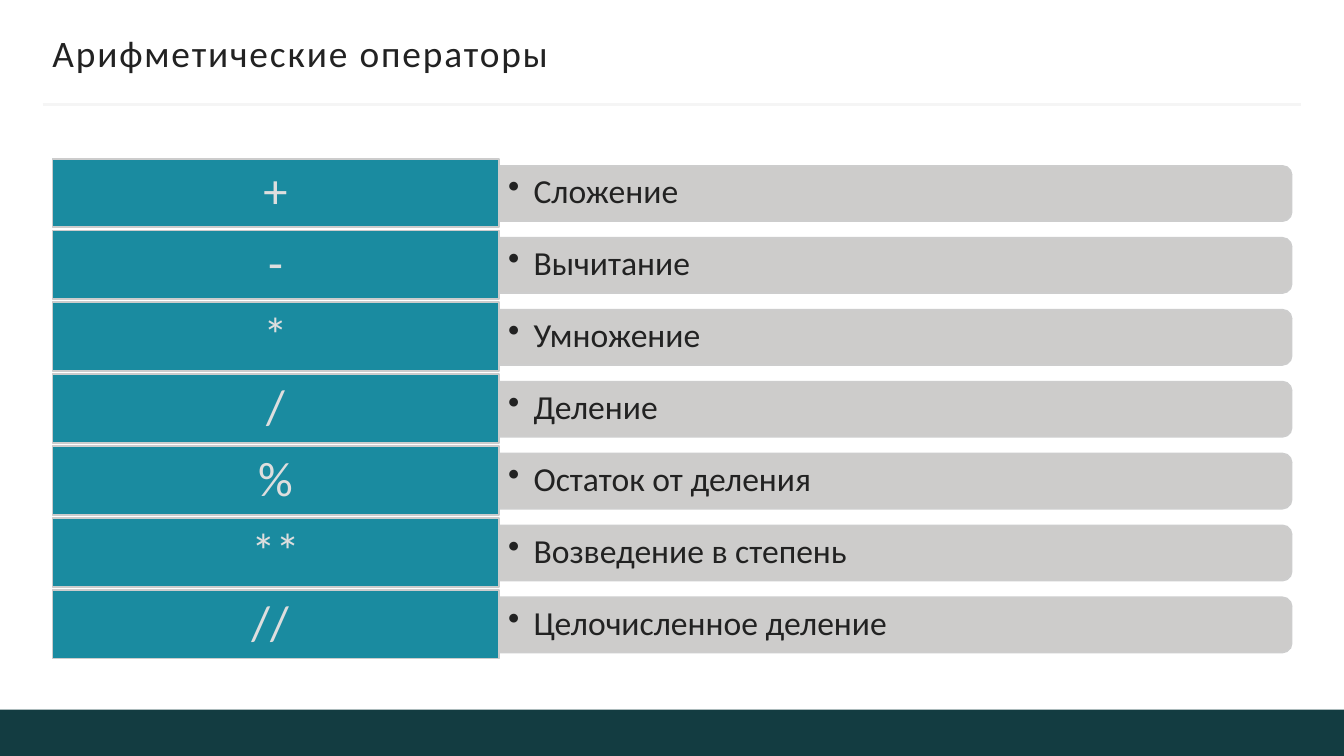
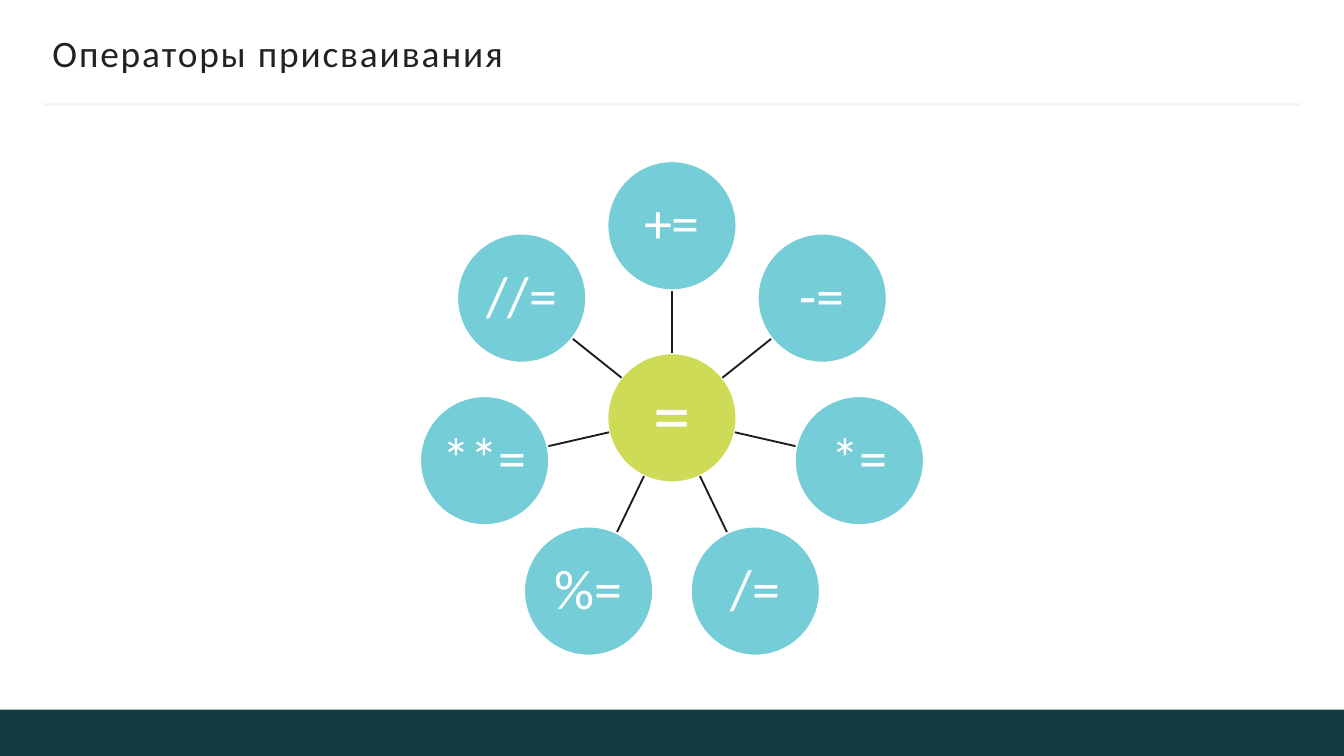
from math import cos, pi, sin

from lxml.etree import SubElement
from pptx import Presentation
from pptx.dml.color import RGBColor
from pptx.enum.shapes import MSO_CONNECTOR, MSO_SHAPE
from pptx.enum.text import MSO_ANCHOR, PP_ALIGN
from pptx.oxml.ns import qn
from pptx.util import Inches, Pt

WHITE = RGBColor(0xFF, 0xFF, 0xFF)
INK = RGBColor(0x22, 0x22, 0x22)
BAND = RGBColor(0x13, 0x3C, 0x41)
RULE = RGBColor(0xF5, 0xF5, 0xF5)
TEAL = RGBColor(0x1A, 0x8B, 0xA0)
TEAL_EDGE = RGBColor(0xCC, 0xCC, 0xCC)
TEAL_TEXT = RGBColor(0xDE, 0xDE, 0xDE)
GREY = RGBColor(0xCD, 0xCC, 0xCB)
GREY_EDGE = RGBColor(0xCD, 0xCD, 0xCD)
LIME = RGBColor(0xCE, 0xDB, 0x56)
SKY = RGBColor(0x75, 0xCD, 0xD8)
SPOKE = RGBColor(0x1B, 0x1B, 0x1B)

FONT = "Calibri"
BAND_TOP = 5.28

ARITHMETIC = [
    ("+", "Сложение"),
    ("-", "Вычитание"),
    ("*", "Умножение"),
    ("/", "Деление"),
    ("%", "Остаток от деления"),
    ("**", "Возведение в степень"),
    ("// ", "Целочисленное деление"),
]
ASSIGNMENT = ["+=", "-=", "*=", "/=", "%=", "**=", "//="]


class Deck:
    """Holds the shared style and the slide being drawn."""

    def __init__(self):
        self.presentation = Presentation()
        self.presentation.slide_width = Inches(10)
        self.presentation.slide_height = Inches(10) * 9 // 16
        self.slide = None

    def new_slide(self, title):
        self.slide = self.presentation.slides.add_slide(self.presentation.slide_layouts[6])
        band_height = self.presentation.slide_height / Inches(1) - BAND_TOP
        self.shape(MSO_SHAPE.RECTANGLE, 0, BAND_TOP, 10, band_height, BAND)
        self.line(0.32, 0.78, 9.68, 0.78, RULE, 1.5)
        paragraph = self.text_box(0.39, 0.25, 9.22, 0.33, title, 20, insets=(0, 0.05))
        paragraph.runs[0]._r.get_or_add_rPr().set("spc", "100")

    def shape(self, kind, left, top, width, height, fill, edge=None):
        shape = self.slide.shapes.add_shape(
            kind, Inches(left), Inches(top), Inches(width), Inches(height))
        shape.shadow.inherit = False
        shape.fill.solid()
        shape.fill.fore_color.rgb = fill
        if edge is None:
            shape.line.fill.background()
        else:
            shape.line.color.rgb = edge
            shape.line.width = Pt(1)
        return shape

    def line(self, x1, y1, x2, y2, color, width):
        connector = self.slide.shapes.add_connector(
            MSO_CONNECTOR.STRAIGHT, Inches(x1), Inches(y1), Inches(x2), Inches(y2))
        connector.line.color.rgb = color
        connector.line.width = Pt(width)
        SubElement(connector._element.spPr, qn("a:effectLst"))

    def label(self, shape, text, size, color, insets, align=PP_ALIGN.LEFT, bullet=False):
        frame = shape.text_frame
        frame.word_wrap = True
        frame.vertical_anchor = MSO_ANCHOR.MIDDLE
        frame.margin_left = frame.margin_right = Inches(insets[0])
        frame.margin_top = frame.margin_bottom = Inches(insets[1])
        frame.text = text
        paragraph = frame.paragraphs[0]
        paragraph.alignment = align
        paragraph.line_spacing = 0.9
        if bullet:
            properties = paragraph._p.get_or_add_pPr()
            properties.set("marL", str(Inches(0.19)))
            properties.set("indent", str(-Inches(0.19)))
            SubElement(properties, qn("a:buChar")).set("char", "•")
        font = paragraph.runs[0].font
        font.name = FONT
        font.size = Pt(size)
        font.color.rgb = color
        return paragraph

    def text_box(self, left, top, width, height, text, size, insets, bullet=False):
        box = self.slide.shapes.add_textbox(
            Inches(left), Inches(top), Inches(width), Inches(height))
        return self.label(box, text, size, INK, insets, bullet=bullet)

    def operator_row(self, center_y, operator, meaning):
        bar_left, bar_width, bar_height = 3.71, 5.9, 0.41
        # The bar stands upright and is turned so its round corners face right
        bar = self.shape(
            MSO_SHAPE.ROUND_2_SAME_RECTANGLE,
            bar_left + (bar_width - bar_height) / 2, center_y - bar_width / 2,
            bar_height, bar_width, GREY, GREY_EDGE)
        bar.rotation = 90
        self.text_box(bar_left, center_y - 0.19, 5.88, 0.37, meaning, 18,
                      insets=(0.07, 0.04), bullet=True)
        tile = self.shape(MSO_SHAPE.RECTANGLE, 0.39, center_y - 0.26, 3.32, 0.51,
                          TEAL, TEAL_EDGE)
        self.label(tile, operator, 26, TEAL_TEXT, (0.11, 0.05), PP_ALIGN.CENTER)

    def circle(self, center_x, center_y, radius, text, size, fill, inset):
        circle = self.shape(MSO_SHAPE.OVAL, center_x - radius, center_y - radius,
                            2 * radius, 2 * radius, fill, WHITE)
        self.label(circle, text, size, WHITE, (inset, inset), PP_ALIGN.CENTER)


def arithmetic_slide(deck):
    deck.new_slide("Арифметические операторы")
    first_center, last_center = 1.44, 4.65
    pitch = (last_center - first_center) / (len(ARITHMETIC) - 1)
    for index, (operator, meaning) in enumerate(ARITHMETIC):
        deck.operator_row(first_center + index * pitch, operator, meaning)


def assignment_slide(deck):
    deck.new_slide("Операторы присваивания")
    hub_x, hub_y, radius, orbit = 5, 3.11, 0.48, 1.43
    deck.circle(hub_x, hub_y, radius, "=", 40, LIME, 0.03)
    # Satellites run clockwise from the top, each joined to the hub by a spoke
    for index, operator in enumerate(ASSIGNMENT):
        angle = 2 * pi * index / len(ASSIGNMENT)
        dx, dy = sin(angle), -cos(angle)
        spoke_end = orbit - radius
        deck.line(hub_x + radius * dx, hub_y + radius * dy,
                  hub_x + spoke_end * dx, hub_y + spoke_end * dy, SPOKE, 1)
        deck.circle(hub_x + orbit * dx, hub_y + orbit * dy, radius, operator, 30, SKY, 0.02)


def main():
    deck = Deck()
    arithmetic_slide(deck)
    assignment_slide(deck)
    deck.presentation.save("out.pptx")


if __name__ == "__main__":
    main()
